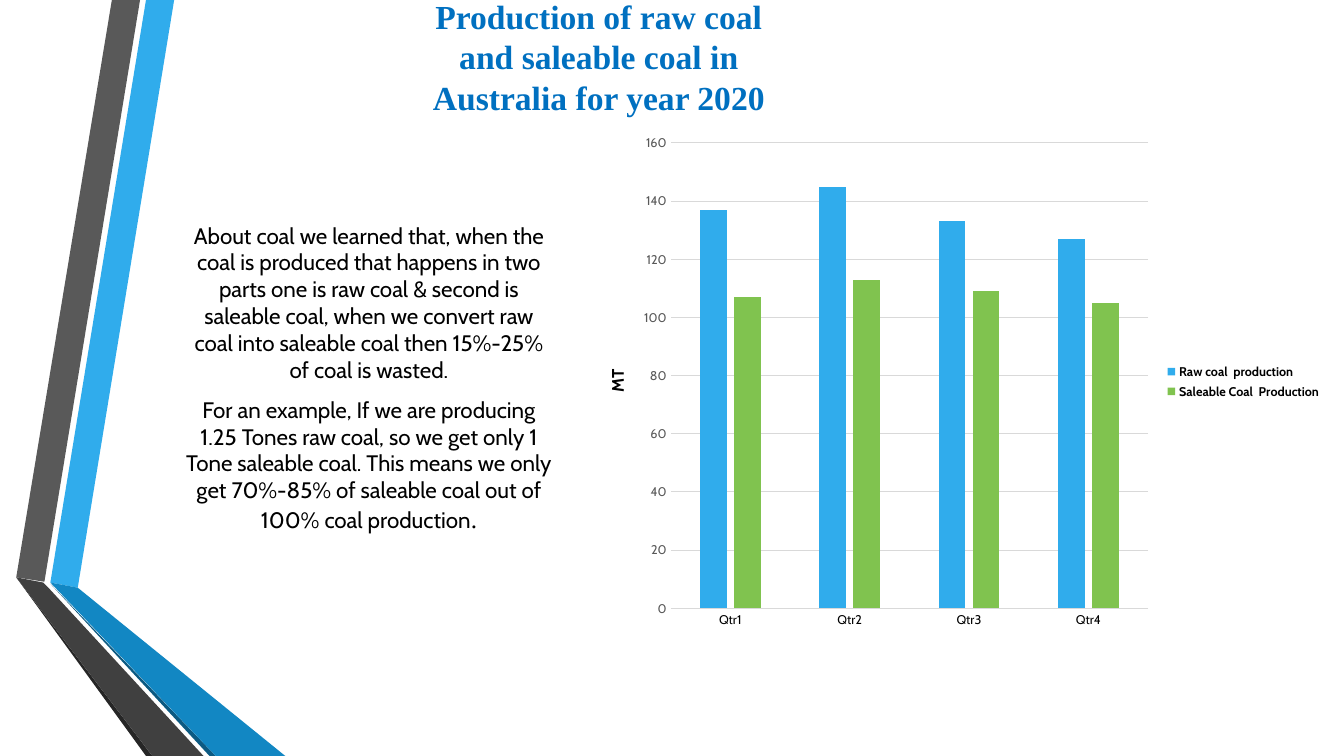
import pptx
import pptx.util
import pptx.chart.data
import pptx.dml.color
import pptx.enum.chart
import pptx.enum.text
import pptx.oxml
import pptx.oxml.ns

Cm, Pt = pptx.util.Cm, pptx.util.Pt
qn = pptx.oxml.ns.qn


def rgb(value):
    return pptx.dml.color.RGBColor.from_string(value)


class SlideBuilder:
    BODY, TITLE = "Cabin", "Times New Roman"
    BLACK, GREY, GRID = "000000", "595959", "D9D9D9"
    BLUE, GREEN, TITLE_BLUE = "30ACEC", "80C34F", "0070C0"

    def __init__(self, prs):
        self.slide = prs.slides.add_slide(prs.slide_layouts[6])

    def font(self, font, size, color, name=BODY, bold=False):
        font.size, font.name, font.bold = Pt(size), name, bold
        font.color.rgb = rgb(color)

    def ribbon(self, color, points):
        start, *rest = [(Cm(x), Cm(y)) for x, y in points]
        fb = self.slide.shapes.build_freeform(*start, scale=1.0)
        fb.add_line_segments(rest, close=True)
        sp = fb.convert_to_shape()
        sp.shadow.inherit = False
        sp.fill.solid()
        sp.fill.fore_color.rgb = rgb(color)
        sp.line.fill.background()

    def text(self, box, anchor, paragraphs, size, color, name, bold=False):
        tf = self.slide.shapes.add_textbox(*map(Cm, box)).text_frame
        tf.word_wrap = True
        tf.vertical_anchor = anchor
        for i, text in enumerate(paragraphs):
            p = tf.add_paragraph() if i else tf.paragraphs[0]
            p.text = text
            p.alignment = pptx.enum.text.PP_ALIGN.CENTER
            p.space_before = Pt(0.2 * size if i else 0)
            p.space_after = Pt(6 if len(paragraphs) > 1 else 0)
            for r in p.runs:
                self.font(r.font, size, color, name, bold)
        return tf

    def layout(self, parent, index, **values):
        """Place a chart part by fractions of the chart area."""
        for old in parent.findall(qn("c:layout")):
            parent.remove(old)
        target = '<c:layoutTarget val="inner"/>' if "w" in values else ""
        modes = "".join(f'<c:{k}Mode val="edge"/>' for k in "xy")
        sizes = "".join(f'<c:{k} val="{v}"/>' for k, v in values.items())
        parent.insert(index, pptx.oxml.parse_xml(
            f'<c:layout {pptx.oxml.ns.nsdecls("c")}><c:manualLayout>'
            f'{target}{modes}{sizes}</c:manualLayout></c:layout>'))

    def line(self, line):
        line.color.rgb = rgb(self.GRID)
        line.width = Pt(0.75)

    def column_chart(self, box, categories, series, unit):
        data = pptx.chart.data.CategoryChartData()
        data.categories = categories
        for name, values, _ in series:
            data.add_series(name, values)
        xl = pptx.enum.chart
        chart = self.slide.shapes.add_chart(
            xl.XL_CHART_TYPE.COLUMN_CLUSTERED, *map(Cm, box), data).chart
        self.font(chart.font, 10, self.BLACK)
        chart.has_title = False

        # Columns
        plot = chart.plots[0]
        plot.vary_by_categories = False
        plot.gap_width, plot.overlap = 219, -27
        for ser, (_, _, color) in zip(plot.series, series):
            ser.format.fill.solid()
            ser.format.fill.fore_color.rgb = rgb(color)

        # Axes
        cat, val = chart.category_axis, chart.value_axis
        for axis, color in ((cat, self.BLACK), (val, self.GREY)):
            axis.major_tick_mark = axis.minor_tick_mark = xl.XL_TICK_MARK.NONE
            self.font(axis.tick_labels.font, 9, color)
        self.line(cat.format.line)
        val.format.line.fill.background()
        self.line(val.major_gridlines.format.line)
        val.minimum_scale, val.maximum_scale, val.major_unit = 0, 160, 20
        tf = val.axis_title.text_frame
        tf.text = unit
        self.font(tf.paragraphs[0].runs[0].font, 12, self.BLACK, bold=True)

        # Legend
        chart.has_legend = True
        chart.legend.position = xl.XL_LEGEND_POSITION.RIGHT
        chart.legend.include_in_layout = False
        self.font(chart.legend.font, 9, self.BLACK, bold=True)

        # Placement inside the chart area
        self.layout(val.axis_title._element, 1, x=0.03, y=0.47)
        area = chart._chartSpace.find(".//" + qn("c:plotArea"))
        self.layout(area, 0, x=0.12, y=0.035, w=0.636, h=0.907)


def main():
    prs = pptx.Presentation()
    prs.slide_width, prs.slide_height = Cm(33.87), Cm(19.05)
    s = SlideBuilder(prs)

    # Folded ribbons on the left
    s.ribbon(s.BLUE, [(1.27, 14.68), (1.96, 14.81), (4.39, 0), (3.68, 0)])
    s.ribbon(s.GREY, [(3.53, 0), (2.82, 0), (0.41, 14.55), (1.12, 14.66)])
    s.ribbon("262626", [(0.41, 14.55), (3.68, 19.05), (3.84, 19.05)])
    s.ribbon("0C5A82", [(1.27, 14.71), (5.28, 19.05), (5.44, 19.05)])
    s.ribbon("1287C3", [(1.27, 14.68), (5.44, 19.05), (7.19, 19.05),
                        (1.96, 14.81)])
    s.ribbon("404040", [(5.13, 19.05), (1.22, 14.81), (1.09, 14.68),
                        (0.41, 14.55), (3.84, 19.05)])

    # Title and explanation
    anchor = pptx.enum.text.MSO_ANCHOR
    s.text((10.16, -0.74, 9.86, 3.81), anchor.BOTTOM,
           ["Production of raw coal and saleable coal in Australia for year 2020"],
           24, s.TITLE_BLUE, s.TITLE, bold=True)
    tf = s.text((4.37, 3.05, 9.86, 12.93), anchor.MIDDLE, [
        "About coal we learned that, when the coal is produced that happens in "
        "two parts one is raw coal & second is saleable coal, when we convert "
        "raw coal into saleable coal then 15%-25% of coal is wasted.",
        "For an example, If we are producing 1.25 Tones raw coal, so we get "
        "only 1 Tone saleable coal. This means we only get 70%-85% of saleable "
        "coal out of 100% coal production",
    ], 16, s.BLACK, s.BODY)
    r = tf.paragraphs[-1].add_run()
    r.text = "."
    s.font(r.font, 18, s.BLACK, s.TITLE)

    # Quarterly production
    s.column_chart((14.63, 3.15, 18.92, 12.93),
                   ["Qtr1", "Qtr2", "Qtr3", "Qtr4"],
                   [("Raw coal  production", (137, 145, 133, 127), s.BLUE),
                    ("Saleable Coal  Production", (107, 113, 109, 105), s.GREEN)],
                   "MT")
    prs.save("out.pptx")


if __name__ == "__main__":
    main()
